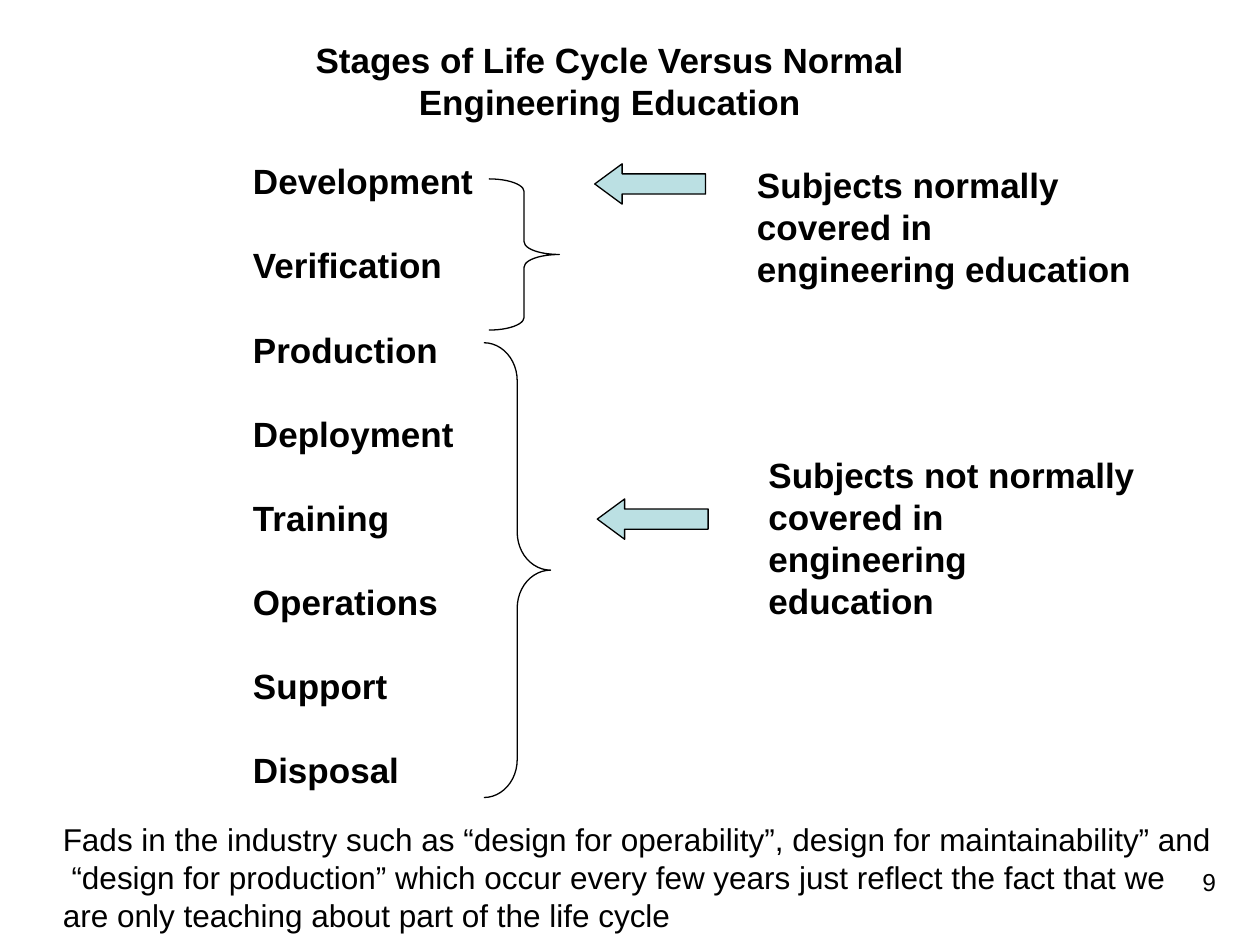
from pptx import Presentation
from pptx.dml.color import RGBColor
from pptx.enum.shapes import MSO_SHAPE
from pptx.enum.text import MSO_ANCHOR, PP_ALIGN
from pptx.util import Inches, Pt

COLORS = {"ink": "000000", "arrow": "BBE0E3"}
FONT = "Arial"
TITLE = "Stages of Life Cycle Versus Normal Engineering Education"
STAGES = ["Development", "Verification", "Production", "Deployment",
          "Training", "Operations", "Support", "Disposal"]
SUBJECTS = [
    ("Subjects normally covered in engineering education", (5.91, 1.25, 3.2, 1.1)),
    ("Subjects not normally covered in engineering education", (6, 3.55, 3.12, 1.44)),
]
FADS = [
    "Fads in the industry such as “design for operability”, design for maintainability” and",
    " “design for production” which occur every few years just reflect the fact that we",
    "are only teaching about part of the life cycle",
]
ARROWS = [(4.72, 1.3, 0.88, 0.32), (4.74, 3.96, 0.88, 0.32)]
BRACES = [((3.88, 1.42, 0.56, 1.2), 0.18), ((3.84, 2.72, 0.53, 3.61), 0.57)]


def rgb(name):
    return RGBColor.from_string(COLORS[name])


def write(tf, lines, size, bold=False, pitch=None, gap=0, align=PP_ALIGN.LEFT):
    for i, line in enumerate(lines):
        p = tf.paragraphs[0] if i == 0 else tf.add_paragraph()
        p.text = line
        p.alignment = align
        p.space_before = Pt(gap if i else 0)
        if pitch:
            p.line_spacing = Pt(pitch)
        p.font.name, p.font.size, p.font.bold = FONT, Pt(size), bold
        p.font.color.rgb = rgb("ink")


def add_text(s, box, lines, size, **style):
    tf = s.shapes.add_textbox(*map(Inches, box)).text_frame
    tf.word_wrap = True
    write(tf, lines, size, **style)


def add_outline(s, kind, box, adjustments, fill=None):
    sp = s.shapes.add_shape(kind, *map(Inches, box))
    sp.shadow.inherit = False
    for i, value in enumerate(adjustments):
        sp.adjustments[i] = value
    if fill:
        sp.fill.solid()
        sp.fill.fore_color.rgb = rgb(fill)
    else:
        sp.fill.background()
    sp.line.color.rgb = rgb("ink")
    sp.line.width = Pt(0.75)


def main():
    """Build the life cycle slide."""
    prs = Presentation()
    prs.slide_width, prs.slide_height = Inches(10), Inches(7.5)
    s = prs.slides.add_slide(prs.slide_layouts[5])
    title = s.shapes.title
    title.left, title.top, title.width, title.height = map(Inches, (2.02, 0.19, 5.64, 0.9))
    tf = title.text_frame
    tf.word_wrap, tf.vertical_anchor = True, MSO_ANCHOR.MIDDLE
    write(tf, [TITLE], 20, bold=True, pitch=24, align=PP_ALIGN.CENTER)

    add_text(s, (1.91, 1.22, 2, 5.1), STAGES, 20, bold=True, pitch=24, gap=24)
    for text, box in SUBJECTS:
        add_text(s, box, [text], 20, bold=True, pitch=24)
    for box in ARROWS:
        add_outline(s, MSO_SHAPE.LEFT_ARROW, box, (0.5, 0.68), "arrow")
    for box, curve in BRACES:
        add_outline(s, MSO_SHAPE.RIGHT_BRACE, box, (curve, 0.5))
    add_text(s, (0.4, 6.46, 9.45, 1), FADS, 18, pitch=21.7)
    add_text(s, (7.42, 6.83, 2.33, 0.52), ["9"], 14, align=PP_ALIGN.RIGHT)
    prs.save("out.pptx")


if __name__ == "__main__":
    main()
